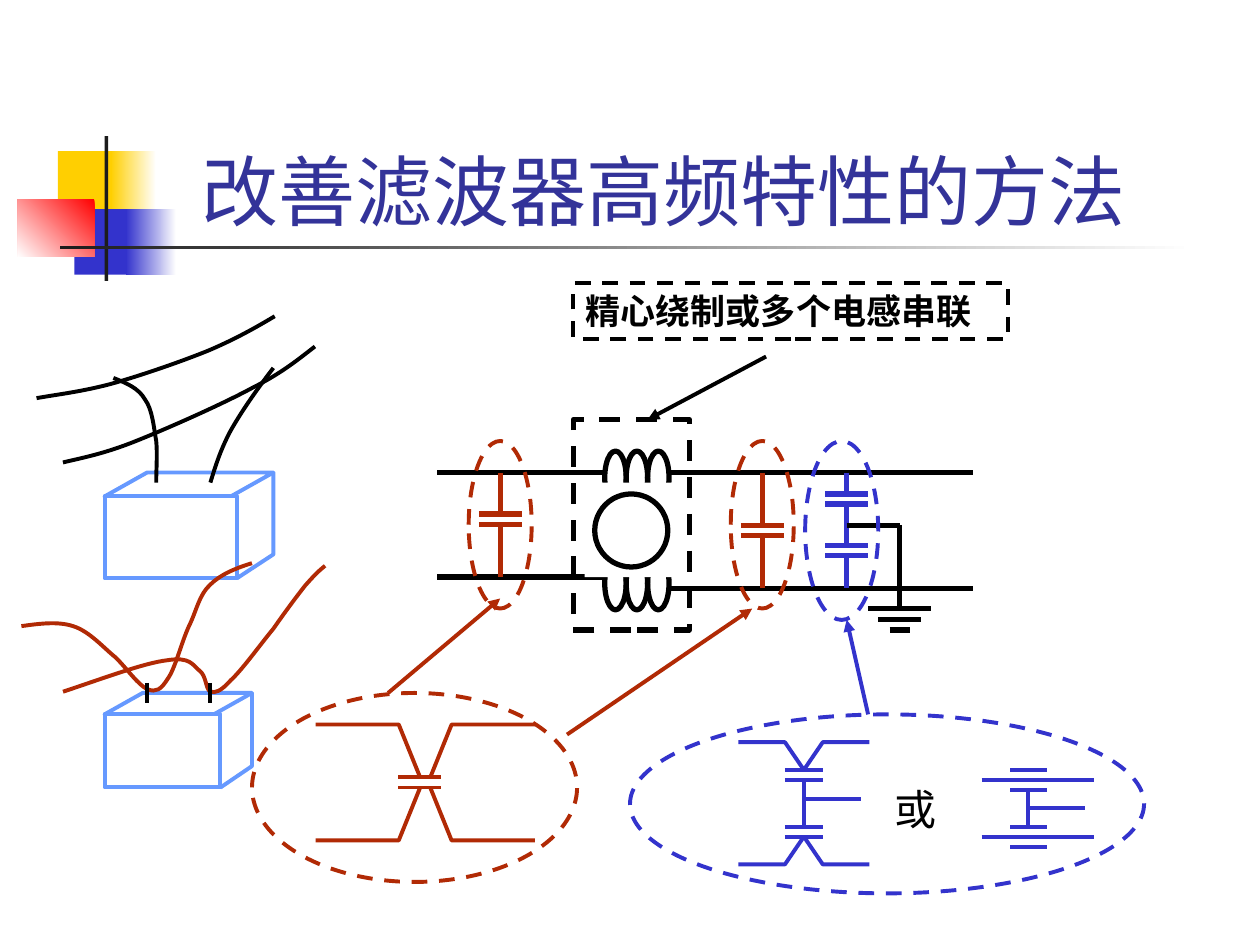
from dataclasses import dataclass

from lxml import etree
from pptx import Presentation
from pptx.dml.color import RGBColor
from pptx.enum.dml import MSO_LINE
from pptx.enum.shapes import MSO_CONNECTOR, MSO_SHAPE
from pptx.enum.text import MSO_ANCHOR, PP_ALIGN
from pptx.oxml.ns import qn
from pptx.util import Cm, Pt

RECT, OVAL, SLANT = MSO_SHAPE.RECTANGLE, MSO_SHAPE.OVAL, MSO_SHAPE.PARALLELOGRAM
STRAIGHT = MSO_CONNECTOR.STRAIGHT
DASH = MSO_LINE.DASH
TOP, BOTTOM = MSO_ANCHOR.TOP, MSO_ANCHOR.BOTTOM
LEFT = PP_ALIGN.LEFT
BLACK, WHITE, RED, BLUE, SKY = "000000", "FFFFFF", "B12A05", "3333CC", "6699FF"
FONT = "Lato"
THICK, THIN = 3, 2.25
GAP = 0.08  # between the two plates of a capacitor

Point = tuple[float, float]


@dataclass
class Pen:
    color: str
    width: float = THIN
    dashed: bool = False


@dataclass
class Block:
    """Master decoration: a solid colour, or a gradient when end is given."""
    box: tuple[float, float, float, float]
    start: str
    end: str | None = None
    angle: int = 180


@dataclass
class Capacitor:
    x: float
    top: float
    plate: float
    bottom: float
    color: str


def cm(inches: float) -> Cm:
    """The slide is laid out on an inch grid; lengths are stored in centimetres."""
    return Cm(inches * 2.54)


def rgb(color: str) -> RGBColor:
    return RGBColor.from_string(color)


def stroke(line, pen: Pen) -> None:
    line.color.rgb = rgb(pen.color)
    line.width = Pt(pen.width)
    if pen.dashed:
        line.dash_style = DASH


def shape(kind, x: float, y: float, w: float, h: float, pen: Pen | None = None, fill: str | None = None):
    sp = shapes.add_shape(kind, cm(x), cm(y), cm(w), cm(h))
    sp.shadow.inherit = False
    if fill:
        sp.fill.solid()
        sp.fill.fore_color.rgb = rgb(fill)
    else:
        sp.fill.background()
    if pen:
        stroke(sp.line, pen)
    else:
        sp.line.fill.background()
    return sp


def block(b: Block) -> None:
    sp = shape(RECT, *b.box, fill=b.start)
    if b.end:
        sp.fill.gradient()
        sp.fill.gradient_angle = b.angle
        for stop, color in zip(sp.fill.gradient_stops, (b.start, b.end)):
            stop.color.rgb = rgb(color)


def line(start: Point, end: Point, pen: Pen, arrow: bool = False) -> None:
    c = shapes.add_connector(STRAIGHT, *map(cm, start + end))
    stroke(c.line, pen)
    if arrow:
        etree.SubElement(c.line._get_or_add_ln(), qn("a:tailEnd"), type="triangle")
    etree.SubElement(c._element.spPr, qn("a:effectLst"))


def outline(points: list[Point], pen: Pen, curved: bool = False) -> None:
    """Open path; when curved, the points after the first are Bézier triples."""
    emu = [(cm(x), cm(y)) for x, y in points]
    builder = shapes.build_freeform(*emu[0])
    builder.add_line_segments(emu[1:], close=False)
    sp = builder.convert_to_shape()
    sp.shadow.inherit = False
    sp.fill.background()
    stroke(sp.line, pen)
    if curved:
        track = next(sp._element.iter(qn("a:path")))
        steps = track.findall(qn("a:lnTo"))
        for i in range(0, len(steps), 3):
            bezier = etree.SubElement(track, qn("a:cubicBezTo"))
            for step in steps[i:i + 3]:
                bezier.append(step[0])
                track.remove(step)


def write(sp, text: str, size: float, color: str, bold: bool = False, anchor=TOP) -> None:
    tf = sp.text_frame
    tf.word_wrap = True
    tf.vertical_anchor = anchor
    tf.text = text
    p = tf.paragraphs[0]
    p.alignment = LEFT
    font = p.runs[0].font
    font.name, font.size, font.bold = FONT, Pt(size), bold
    font.color.rgb = rgb(color)


def textbox(x: float, y: float, w: float, h: float):
    return shapes.add_textbox(cm(x), cm(y), cm(w), cm(h))


def plates(x: float, y: float, half: float, pen: Pen) -> None:
    for level in (y, y + GAP):
        line((x - half, level), (x + half, level), pen)


def capacitor(c: Capacitor) -> None:
    pen = Pen(c.color, THICK)
    line((c.x, c.top), (c.x, c.plate), pen)
    plates(c.x, c.plate, 0.17, pen)
    line((c.x, c.plate + GAP), (c.x, c.bottom), pen)


def leads(x: float, y: float, tip: float, knee: float, end: float, rise: float, pen: Pen) -> None:
    """Mirrored pair of bent leads that meet a plate at height y."""
    for side in (-1, 1):
        outline([(x + side * end, y + rise), (x + side * knee, y + rise), (x + side * tip, y)], pen)


def coil(y: float, mask_y: float) -> None:
    """Row of loops with one half hidden."""
    for i in range(3):
        shape(OVAL, 4.8 + 0.17 * i, y, 0.17, 0.42, Pen(BLACK, THICK))
    shape(RECT, 4.64, mask_y, 0.92, 0.25, fill=WHITE)


def case(x: float, y: float, front: float, height: float, depth: float, roof: float) -> None:
    pen = Pen(SKY)
    right = x + front + depth
    shape(SLANT, x, y, front + depth, roof, pen, WHITE).adjustments[0] = 1.78
    shape(RECT, x, y + roof, front, height, pen, WHITE)
    outline([(right, y), (right, y + height), (x + front, y + roof + height)], pen)


prs = Presentation()
prs.slide_width, prs.slide_height = cm(10), cm(7.5)
shapes = prs.slides.add_slide(prs.slide_layouts[6]).shapes

for b in (
    Block((0.46, 1.2, 0.48, 0.52), "FFCF01"),
    Block((0.88, 1.2, 0.36, 0.52), WHITE, "FFCF01"),
    Block((0.59, 1.66, 0.46, 0.52), BLUE),
    Block((1, 1.66, 0.4, 0.52), WHITE, BLUE),
    Block((0.14, 1.58, 0.61, 0.46), "FF0000", WHITE, 225),
    Block((0.83, 1.08, 0.03, 1.15), "1C1C1C"),
    Block((0.48, 1.95, 9, 0.03), WHITE, "1C1C1C"),
):
    block(b)
write(textbox(1.5, 0.67, 8.52, 1.25), "改善滤波器高频特性的方法", 44, "333399", anchor=BOTTOM)

# Filter circuit
wire = Pen(BLACK, THICK)
line((3.47, 3.75), (4.8, 3.75), wire)
coil(3.58, 3.83)
line((5.3, 3.75), (7.72, 3.75), wire)
line((3.47, 4.58), (4.8, 4.58), wire)
line((5.3, 4.67), (7.72, 4.67), wire)
coil(4.42, 4.33)
shape(OVAL, 4.72, 3.92, 0.58, 0.58, wire)
for c in (
    Capacitor(3.97, 3.75, 4.08, 4.58, RED),
    Capacitor(6.05, 3.75, 4.17, 4.67, RED),
    Capacitor(6.72, 3.75, 3.92, 4.17, BLUE),
    Capacitor(6.72, 4.17, 4.33, 4.67, BLUE),
):
    capacitor(c)
line((6.72, 4.17), (7.14, 4.17), wire)
line((7.14, 4.17), (7.14, 4.83), wire)
for i, half in enumerate((0.25, 0.17, 0.08)):
    line((7.14 - half, 4.83 + 0.085 * i), (7.14 + half, 4.83 + 0.085 * i), wire)
shape(RECT, 4.55, 3.33, 0.92, 1.67, Pen(BLACK, THICK, True))

# Dashed outlines, callout and arrows
red, blue, black = Pen(RED), Pen(BLUE), Pen(BLACK)
for x in (3.72, 5.8):
    shape(OVAL, x, 3.5, 0.5, 1.33, Pen(RED, dashed=True))
shape(OVAL, 2, 5.5, 2.58, 1.5, Pen(RED, dashed=True))
shape(OVAL, 6.39, 3.5, 0.58, 1.42, Pen(BLUE, dashed=True))
shape(OVAL, 5, 5.67, 4.08, 1.42, Pen(BLUE, dashed=True))
callout = shape(RECT, 4.55, 2.25, 3.45, 0.44, Pen(BLACK, dashed=True))
write(callout, "精心绕制或多个电感串联", 20, BLACK, bold=True)
line((6.08, 2.83), (5.14, 3.33), black, arrow=True)
line((3.08, 5.5), (3.97, 4.75), red, arrow=True)
line((4.5, 5.83), (5.97, 4.83), red, arrow=True)
line((6.89, 5.67), (6.72, 4.92), blue, arrow=True)

# Capacitor details
plates(3.33, 6.17, 0.17, red)
for y, rise in ((6.17, -0.42), (6.25, 0.42)):
    leads(3.375, y, 0.04, 0.21, 0.87, rise, red)
for y, tip, rise in ((6.11, 6.11, -0.22), (6.56, 6.64, 0.22)):
    plates(6.38, y, 0.15, blue)
    leads(6.38, tip, 0, 0.15, 0.52, rise, blue)
line((6.38, 6.19), (6.38, 6.56), blue)
line((6.38, 6.34), (6.83, 6.34), blue)
write(textbox(7, 6.17, 0.58, 0.5), "或", 24, BLACK)
for y in (6.19, 6.64):
    line((7.79, y), (8.68, y), blue)
    for level in (y - GAP, y + GAP):
        line((8.02, level), (8.31, level), blue)
line((8.16, 6.26), (8.16, 6.56), blue)
line((8.16, 6.41), (8.61, 6.41), blue)

# Cases with long and short leads
case(0.83, 3.75, 1.05, 0.65, 0.29, 0.19)
case(0.83, 5.5, 0.92, 0.58, 0.25, 0.17)
for pen, points in (
    (black, [(1.24, 3.83), (1.24, 3.72), (1.25, 3.61), (1.24, 3.5), (1.22, 3.39), (1.21, 3.25), (1.15, 3.17),
             (1.1, 3.08), (1, 3.04), (0.9, 3)]),
    (black, [(0.29, 3.16), (0.46, 3.13), (0.64, 3.11), (0.87, 3.05), (1.09, 2.99), (1.44, 2.87), (1.66, 2.78),
             (1.87, 2.69), (2.03, 2.6), (2.18, 2.51)]),
    (black, [(2.5, 2.75), (2.37, 2.85), (2.24, 2.96), (2, 3.08), (1.76, 3.21), (1.33, 3.4), (1.08, 3.5),
             (0.83, 3.6), (0.67, 3.63), (0.5, 3.67)]),
    (black, [(1.67, 3.83), (1.71, 3.7), (1.75, 3.57), (1.83, 3.42), (1.92, 3.26), (2.04, 3.09), (2.17, 2.92)]),
    (red, [(0.5, 5.49), (0.83, 5.38), (1.15, 5.26), (1.33, 5.24), (1.51, 5.21), (1.53, 5.28), (1.58, 5.32),
           (1.64, 5.36), (1.63, 5.47), (1.67, 5.49), (1.71, 5.5), (1.75, 5.49), (1.83, 5.4), (1.92, 5.32),
           (2.07, 5.11), (2.17, 4.99), (2.26, 4.86), (2.35, 4.74), (2.42, 4.65), (2.49, 4.57), (2.53, 4.53),
           (2.58, 4.49)]),
    (red, [(0.17, 4.97), (0.31, 4.95), (0.46, 4.93), (0.58, 4.97), (0.71, 5.01), (0.82, 5.14), (0.92, 5.22),
           (1.01, 5.31), (1.1, 5.44), (1.17, 5.47), (1.24, 5.5), (1.28, 5.47), (1.33, 5.39), (1.39, 5.31),
           (1.44, 5.1), (1.5, 4.97), (1.56, 4.85), (1.58, 4.72), (1.67, 4.64), (1.75, 4.56), (1.87, 4.51),
           (2, 4.47)]),
):
    outline(points, pen, curved=True)
for x in (1.17, 1.67):
    line((x, 5.42), (x, 5.58), black)

prs.save("out.pptx")
